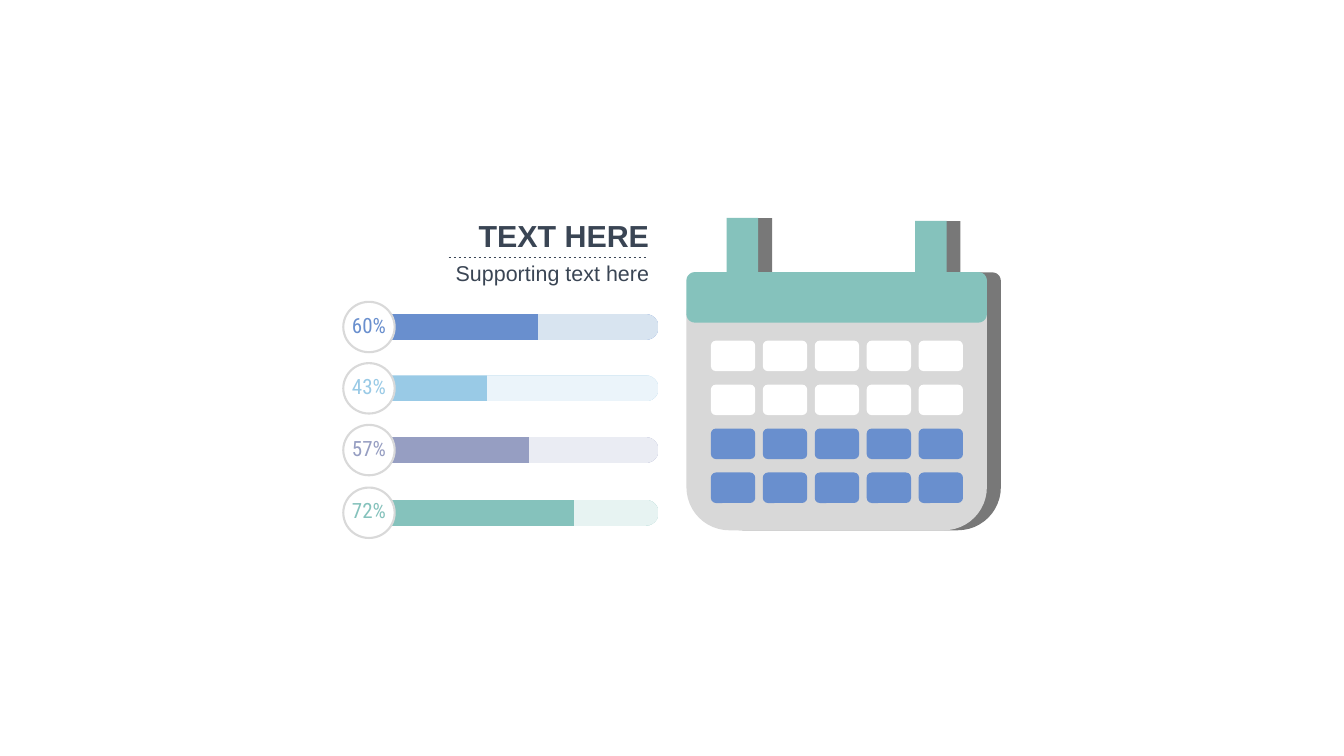
from math import cos, radians, sin

from lxml.etree import SubElement
from pptx import Presentation
from pptx.dml.color import RGBColor
from pptx.enum.dml import MSO_LINE
from pptx.enum.shapes import MSO_CONNECTOR, MSO_SHAPE
from pptx.enum.text import MSO_ANCHOR, PP_ALIGN
from pptx.oxml.ns import qn
from pptx.util import Pt

INK, GREY, SHADE = "3A4554", "D8D8D8", "787878"
WHITE, BLUE, TEAL = "FFFFFF", "698FCE", "85C2BC"


def rgb(value):
    return RGBColor.from_string(value)


def paint(sp, color):
    sp.shadow.inherit = False
    sp.line.fill.background()
    sp.fill.solid()
    sp.fill.fore_color.rgb = rgb(color)


prs = Presentation()
prs.slide_width, prs.slide_height = Pt(960), Pt(540)
s = prs.slides.add_slide(prs.slide_layouts[5])
shapes = s.shapes

band_w, band_h, radius = 214.6, 36, 6
corners = [(band_w - radius, radius, -90), (band_w - radius, band_h - radius, 0),
           (radius, band_h - radius, 90), (radius, radius, 180)]
outline = [(28.8, 0), (28.8, -38.8), (51.2, -38.8), (51.2, 0),
           (163.4, 0), (163.4, -36.6), (185.8, -36.6), (185.8, 0)]
for cx, cy, start in corners:
    for step in range(0, 91, 10):
        a = radians(start + step)
        outline.append((cx + radius * cos(a), cy + radius * sin(a)))

for left, top, body_color, band_color in [(500.3, 194.6, SHADE, SHADE), (490.3, 194.4, GREY, TEAL)]:
    body = shapes.add_shape(MSO_SHAPE.ROUNDED_RECTANGLE, Pt(left), Pt(194.4), Pt(band_w), Pt(184.4))
    paint(body, body_color)
    points = [(Pt(left + x), Pt(top + y)) for x, y in outline]
    builder = shapes.build_freeform(*points[0], scale=1.0)
    builder.add_line_segments(points[1:], close=True)
    paint(builder.convert_to_shape(), band_color)

for row, color in enumerate([WHITE, WHITE, BLUE, BLUE]):
    for col in range(5):
        day = shapes.add_shape(MSO_SHAPE.ROUNDED_RECTANGLE, Pt(507.8 + 37.1 * col),
                               Pt(243.3 + 31.4 * row), Pt(31.7), Pt(21.8))
        paint(day, color)

bars = [(233.6, 60, BLUE, "D8E4F0"), (277.4, 43, "99CAE6", "EBF4FA"),
        (321.5, 57, "969EC2", "EAECF3"), (366.3, 72, TEAL, "E7F3F2")]
for mid, share, color, pale in bars:
    bar = shapes.add_shape(MSO_SHAPE.ROUNDED_RECTANGLE, Pt(255.2), Pt(mid - 9.3), Pt(215.3), Pt(18.6))
    paint(bar, color)
    bar.adjustments[0] = 0.5
    bar.fill.gradient()
    bar.fill.gradient_angle = 0
    stops = next(bar._element.iter(qn("a:gsLst")))
    stops.clear()
    for pos, stop_color in [(0, color), (share, color), (share, pale), (100, pale)]:
        gs = SubElement(stops, qn("a:gs"), pos=str(pos * 1000))
        SubElement(gs, qn("a:srgbClr"), val=stop_color)

    badge = shapes.add_shape(MSO_SHAPE.OVAL, Pt(245.2), Pt(mid - 18), Pt(36.7), Pt(36))
    paint(badge, WHITE)
    badge.line.color.rgb = rgb("D9D9D9")
    badge.line.width = Pt(1.5)
    tf = badge.text_frame
    tf.word_wrap = False
    tf.vertical_anchor = MSO_ANCHOR.MIDDLE
    tf.margin_left = tf.margin_right = tf.margin_top = tf.margin_bottom = 0
    p = tf.paragraphs[0]
    p.text = f"{share}%"
    p.alignment = PP_ALIGN.CENTER
    p.line_spacing = 0.8
    p.font.name, p.font.size = "Roboto Condensed", Pt(15)
    p.font.color.rgb = rgb(color)

rule = shapes.add_connector(MSO_CONNECTOR.STRAIGHT, Pt(320.4), Pt(183.5), Pt(463), Pt(183.5))
rule.line.color.rgb = rgb(INK)
rule.line.width = Pt(0.5)
rule.line.dash_style = MSO_LINE.DASH
SubElement(rule._element.spPr, qn("a:effectLst"))

title = shapes.title
title.left, title.top, title.width, title.height = Pt(310.9), Pt(155.5), Pt(160), Pt(29.5)
support = shapes.add_textbox(Pt(310.9), Pt(185.8), Pt(160), Pt(21.6))
for sp, text, size, bold, anchor in [
        (title, "TEXT HERE", 21.7, True, MSO_ANCHOR.MIDDLE),
        (support, "Supporting text here", 15.3, False, MSO_ANCHOR.TOP)]:
    tf = sp.text_frame
    tf.word_wrap = False
    tf.vertical_anchor = anchor
    tf.margin_left = tf.margin_right = Pt(7.2)
    tf.margin_top = tf.margin_bottom = Pt(3.6)
    p = tf.paragraphs[0]
    p.text = text
    p.alignment = PP_ALIGN.RIGHT
    p.line_spacing = 0.8
    p.font.name, p.font.size, p.font.bold = "Arial", Pt(size), bold
    p.font.color.rgb = rgb(INK)

prs.save("out.pptx")
